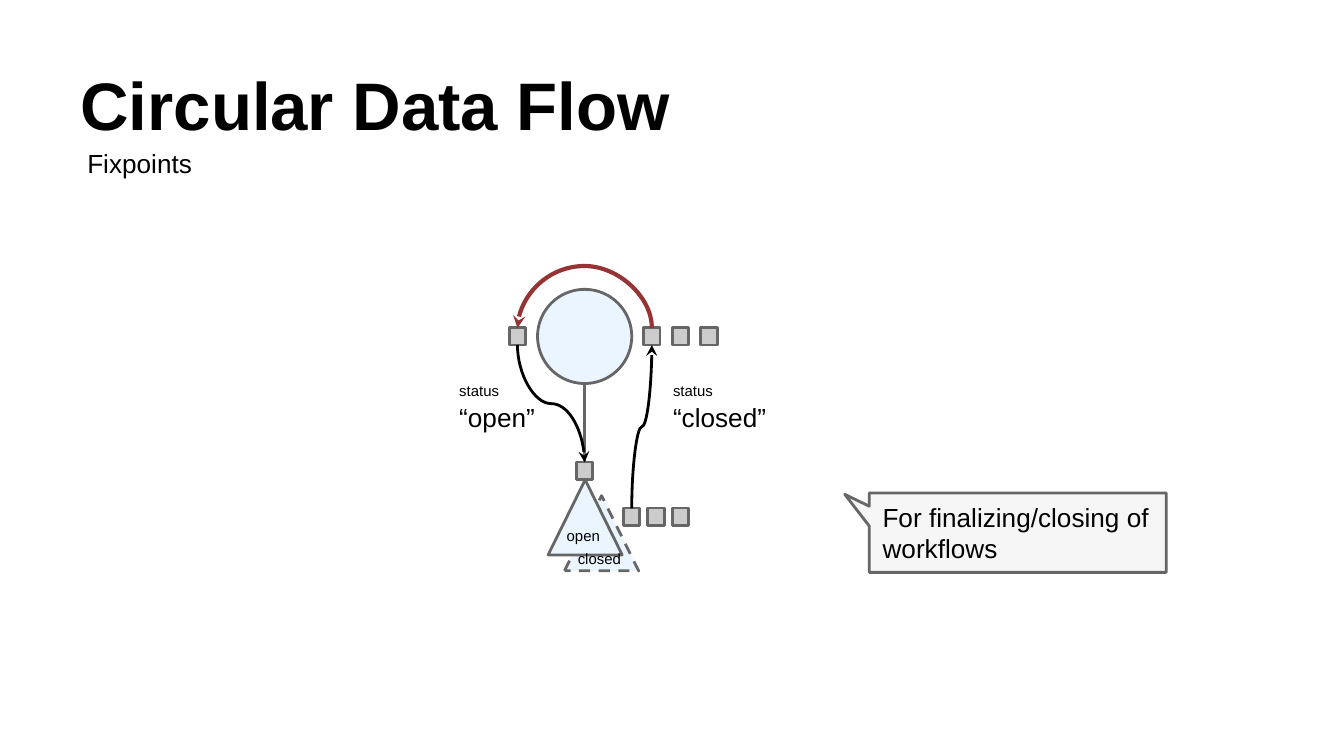
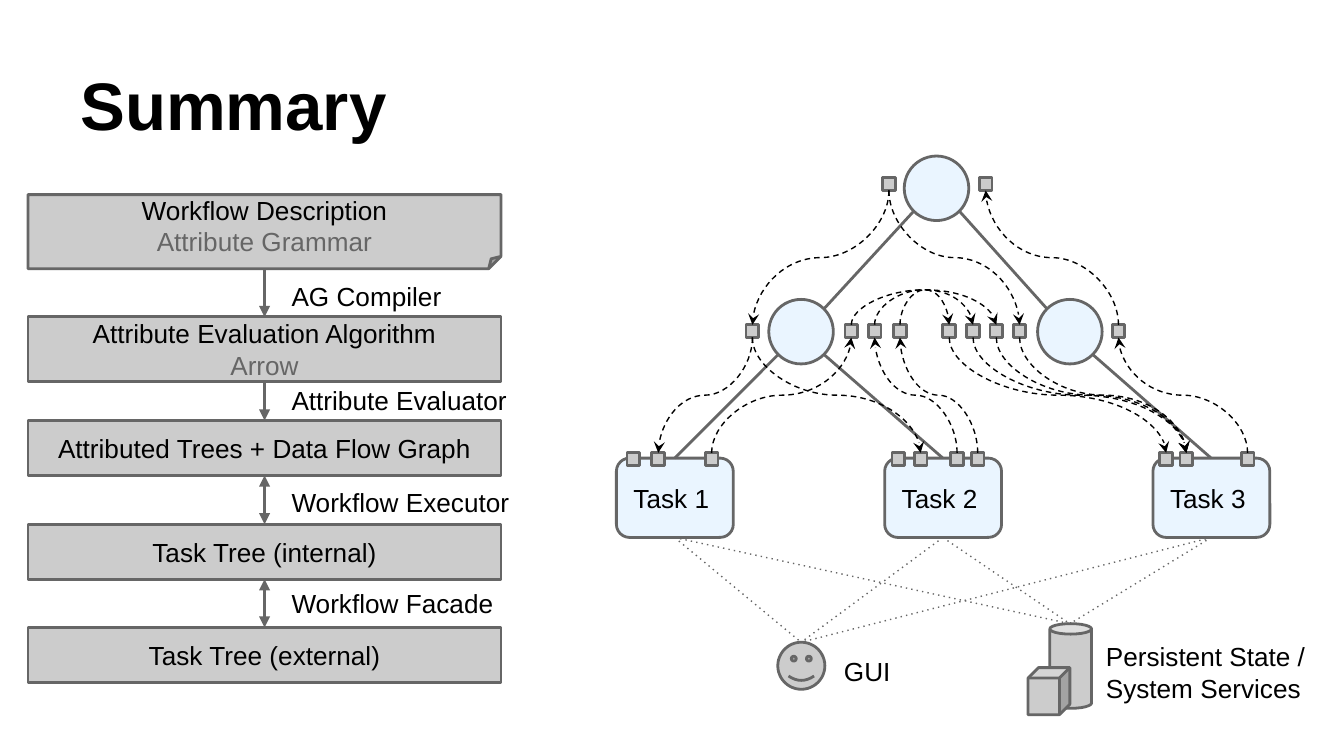
import dataclasses

import lxml.etree
import pptx
import pptx.dml.color
import pptx.enum.shapes
import pptx.enum.text
import pptx.oxml.ns
import pptx.util

Cm = pptx.util.Cm
Pt = pptx.util.Pt
Kind = pptx.enum.shapes.MSO_SHAPE
Link = pptx.enum.shapes.MSO_CONNECTOR
Anchor = pptx.enum.text.MSO_ANCHOR
Align = pptx.enum.text.PP_ALIGN
qn = pptx.oxml.ns.qn


@dataclasses.dataclass(frozen=True)
class Theme:
    font: str = "Arial"
    ink: str = "000000"
    edge: str = "666666"
    pale: str = "EAF5FF"
    grey: str = "CCCCCC"
    note: str = "F6F6F6"
    red: str = "963334"
    head: int = 36
    body: int = 14
    small: int = 8
    thin: float = 0.75
    line: float = 1.5
    bold: float = 2.25
    inset: float = 0.25


THEME = Theme()


def paint(hue):
    return pptx.dml.color.RGBColor.from_string(hue)


# Text

def write(item, text, size=THEME.body, bold=False, anchor=Anchor.TOP,
          align=Align.LEFT, hues=(THEME.ink,)):
    """Fill a shape with one paragraph; each line takes the next hue."""
    frame = item.text_frame
    frame.word_wrap = True
    frame.vertical_anchor = anchor
    frame.margin_left = frame.margin_right = Cm(THEME.inset)
    frame.margin_top = frame.margin_bottom = Cm(THEME.inset)
    para = frame.paragraphs[0]
    para.text = text
    para.alignment = align
    for run, hue in zip(para.runs, hues):
        run.font.name = THEME.font
        run.font.size = Pt(size)
        run.font.bold = bold
        run.font.color.rgb = paint(hue)


def label(slide, text, x, y, w, h, **style):
    box = slide.shapes.add_textbox(Cm(x), Cm(y), Cm(w), Cm(h))
    write(box, text, **style)


def title(slide, text):
    label(slide, text, 1.27, 0.58, 22.86, 2.39,
          size=THEME.head, bold=True, anchor=Anchor.BOTTOM)


# Shapes

def stroke(item, hue, width, dash=None, head=None, tail=None):
    item.line.color.rgb = paint(hue)
    item.line.width = Pt(width)
    ln = item.element.spPr.find(qn("a:ln"))
    if dash:
        lxml.etree.SubElement(ln, qn("a:prstDash"), val=dash)
    for tag, tip in (("a:headEnd", head), ("a:tailEnd", tail)):
        if tip:
            lxml.etree.SubElement(ln, qn(tag), type=tip)


def shape(slide, kind, x, y, w, h, fill=THEME.grey, dash=None):
    item = slide.shapes.add_shape(kind, Cm(x), Cm(y), Cm(w), Cm(h))
    item.shadow.inherit = False
    item.fill.solid()
    item.fill.fore_color.rgb = paint(fill)
    stroke(item, THEME.edge, THEME.line, dash)
    return item


def port(slide, x, y, w, h):
    """Small square centred on a point."""
    shape(slide, Kind.RECTANGLE, x - w / 2, y - h / 2, w, h)


def node(slide, x, y, size):
    """Circle centred on a point."""
    shape(slide, Kind.OVAL, x - size / 2, y - size / 2, size, size, THEME.pale)


# Lines

def join(slide, kind, start, end):
    item = slide.shapes.add_connector(
        kind, Cm(start[0]), Cm(start[1]), Cm(end[0]), Cm(end[1]))
    return item


def flat(item):
    lxml.etree.SubElement(item.element.spPr, qn("a:effectLst"))


def line(slide, start, end, width=THEME.line, **style):
    item = join(slide, Link.STRAIGHT, start, end)
    stroke(item, THEME.edge, width, **style)
    flat(item)


def curve(slide, start, end, hue=THEME.ink, width=THEME.thin, dash=None,
          rise=None):
    """Curved arrow that leaves and arrives upright; rise lifts a level one."""
    (x1, y1), (x2, y2) = start, end
    left, up = x2 < x1, y2 < y1
    long, wide = max(abs(y2 - y1), 0.002), abs(x2 - x1)
    midx, midy = (x1 + x2) / 2, (y1 + y2) / 2
    item = join(slide, Link.CURVE, (midx - long / 2, midy - wide / 2),
                (midx + long / 2, midy + wide / 2))
    # The preset runs sideways, so it is turned a quarter and mirrored.
    props = item.element.spPr
    frame = props.find(qn("a:xfrm"))
    frame.set("rot", str((90 if left else 270) * 60000))
    if left == up:
        frame.set("flipH", "1")
    bend = -rise / long if rise else 0.5
    guide = props.find(qn("a:prstGeom")).find(qn("a:avLst"))
    lxml.etree.SubElement(guide, qn("a:gd"), name="adj1",
                          fmla=f"val {round(bend * 100000)}")
    stroke(item, hue, width, dash, tail="stealth")
    flat(item)


# Slide 1

def draw_loop(slide):
    title(slide, "Circular Data Flow")
    label(slide, "Fixpoints", 1.4, 2.54, 5.2, 0.97)

    # Node and its two states
    axis, left, right, base = 11.05, 9.78, 12.32, 11.94
    top, mid, low, half = 6.36, 8.9, 9.77, 0.16
    shape(slide, Kind.ISOSCELES_TRIANGLE, 10.67, 9.37, 1.4, 1.42,
          THEME.pale, "dash")
    node(slide, axis, top, 1.78)
    line(slide, (axis, mid - half), (axis, top + 0.89))
    shape(slide, Kind.ISOSCELES_TRIANGLE, 10.36, 9.07, 1.4, 1.42, THEME.pale)

    # Ports
    spots = [(left, top), (axis, mid)]
    spots += [(right + 0.54 * i, top) for i in range(3)]
    spots += [(base + 0.46 * i, low) for i in range(3)]
    for x, y in spots:
        port(slide, x, y, 0.31, 0.33)

    # Data flow
    curve(slide, (left, top + half), (axis, mid - half), width=THEME.line)
    curve(slide, (base, low - half), (right, top + half), width=THEME.line)
    curve(slide, (right, top - half), (left, top - half), THEME.red,
          THEME.bold, rise=1.17)

    # Labels
    for x, w, text in ((8.43, 2.24, "“open”"), (12.47, 2.39, "“closed”")):
        label(slide, text, x, 7.34, w, 0.97)
        label(slide, "status", x, 7.04, 1.4, 0.66, size=THEME.small)
    label(slide, "open", 10.46, 9.78, 1.17, 0.76, size=THEME.small)
    label(slide, "closed", 10.67, 10.21, 1.57, 0.76, size=THEME.small)

    note = shape(slide, Kind.RECTANGULAR_CALLOUT, 16.43, 9.32, 5.61, 1.5,
                 THEME.note)
    note.adjustments[0], note.adjustments[1] = -0.583, -0.484
    write(note, "For finalizing/closing of workflows", anchor=Anchor.MIDDLE)


# Slide 2

def draw_tree(slide):
    root, kids, tasks = (17.7, 3.56), (15.14, 20.22), (12.75, 17.82, 22.89)
    row, top, foot, rim = 6.27, 8.66, 10.16, 0.43

    # Tasks, nodes and branches
    for i, x in enumerate(tasks, 1):
        task = shape(slide, Kind.ROUNDED_RECTANGLE, x - 1.1, top, 2.21,
                     foot - top, THEME.pale)
        write(task, f"Task {i}", anchor=Anchor.MIDDLE)
    for x, y in [root] + [(x, row) for x in kids]:
        node(slide, x, y, 1.22)
    for x, side in zip(kids, (-1, 1)):
        line(slide, (root[0] + side * rim, root[1] + rim),
             (x - side * rim, row - rim))
    for x, side, task in ((kids[0], -1, 0), (kids[0], 1, 1), (kids[1], 1, 2)):
        line(slide, (x + side * rim, row + rim), (tasks[task], top))

    # Outside world
    shape(slide, Kind.CAN, 19.84, 11.79, 0.79, 1.6)
    shape(slide, Kind.SMILEY_FACE, 14.7, 12.14, 0.89, 0.89)
    for x in tasks:
        for end in ((kids[0], 12.14), (kids[1], 11.79)):
            line(slide, (x, foot), end, THEME.thin, dash="dot")
    shape(slide, Kind.CUBE, 19.43, 12.62, 0.79, 0.89)
    label(slide, "GUI", 15.7, 12.14, 1.47, 1.22)
    label(slide, "Persistent State / System Services",
          20.65, 11.86, 4.39, 1.5)


def draw_flow(slide):
    # Ports by level: height, then centres from left to right
    rows = (
        (3.48, (16.8, 18.63)),
        (6.26, (14.22, 16.09, 16.53, 17.01, 17.94, 18.39, 18.83, 19.27,
                21.14)),
        (8.68, (11.97, 12.44, 13.45, 16.98, 17.4, 18.09, 18.48, 22.04,
                22.42, 23.58)),
    )
    for y, spots in rows:
        for x in spots:
            port(slide, x, y, 0.24, 0.24)

    # Flows as (level, port) to (level, port)
    flows = (
        ((1, 0), (2, 1)), ((2, 2), (1, 1)), ((2, 5), (1, 2)),
        ((2, 6), (1, 3)), ((1, 4), (2, 7)), ((1, 5), (2, 8)),
        ((1, 6), (2, 8)), ((1, 7), (2, 8)), ((2, 9), (1, 8)),
        ((1, 8), (0, 1)), ((1, 0), (2, 4)), ((0, 0), (1, 0)),
        ((0, 0), (1, 7)), ((1, 1), (1, 6)), ((1, 2), (1, 5)),
        ((1, 3), (1, 4)),
    )
    for (a, i), (b, j) in flows:
        (y1, from_x), (y2, to_x) = rows[a], rows[b]
        out = 0.12 if b > a else -0.12
        into = 0.12 if b < a else -0.12
        curve(slide, (from_x[i], y1 + out), (to_x[j], y2 + into),
              dash="dash", rise=0.66 if a == b else None)


def draw_stack(slide):
    boxes = (
        (Kind.FOLDED_CORNER, 3.68, 1.4,
         "Workflow Description\nAttribute Grammar"),
        (Kind.RECTANGLE, 5.99, 1.22, "Attribute Evaluation Algorithm\nArrow"),
        (Kind.RECTANGLE, 7.95, 1.04, "Attributed Trees + Data Flow Graph"),
        (Kind.RECTANGLE, 9.91, 1.04, "Task Tree (internal)"),
        (Kind.RECTANGLE, 11.86, 1.04, "Task Tree (external)"),
    )
    for kind, y, h, text in boxes:
        box = shape(slide, kind, 0.53, y, 8.94, h)
        write(box, text, anchor=Anchor.MIDDLE, align=Align.CENTER,
              hues=(THEME.ink, THEME.edge))

    # Steps between neighbouring boxes
    steps = (
        ("AG Compiler", 5.05, 7.01, None),
        ("Attribute Evaluator", 7.01, 5.18, None),
        ("Workflow Executor", 8.94, 5.56, "triangle"),
        ("Workflow Facade", 10.85, 5.82, "triangle"),
    )
    for above, below, (text, y, w, head) in zip(boxes, boxes[1:], steps):
        line(slide, (5, above[1] + above[2]), (5, below[1]),
             head=head, tail="triangle")
        label(slide, text, 5.26, y, w, 1.22)


def main():
    deck = pptx.Presentation()
    deck.slide_width, deck.slide_height = Cm(25.4), Cm(14.29)
    blank = deck.slide_layouts[6]
    draw_loop(deck.slides.add_slide(blank))
    last = deck.slides.add_slide(blank)
    title(last, "Summary")
    draw_tree(last)
    draw_flow(last)
    draw_stack(last)
    deck.save("out.pptx")


if __name__ == "__main__":
    main()
